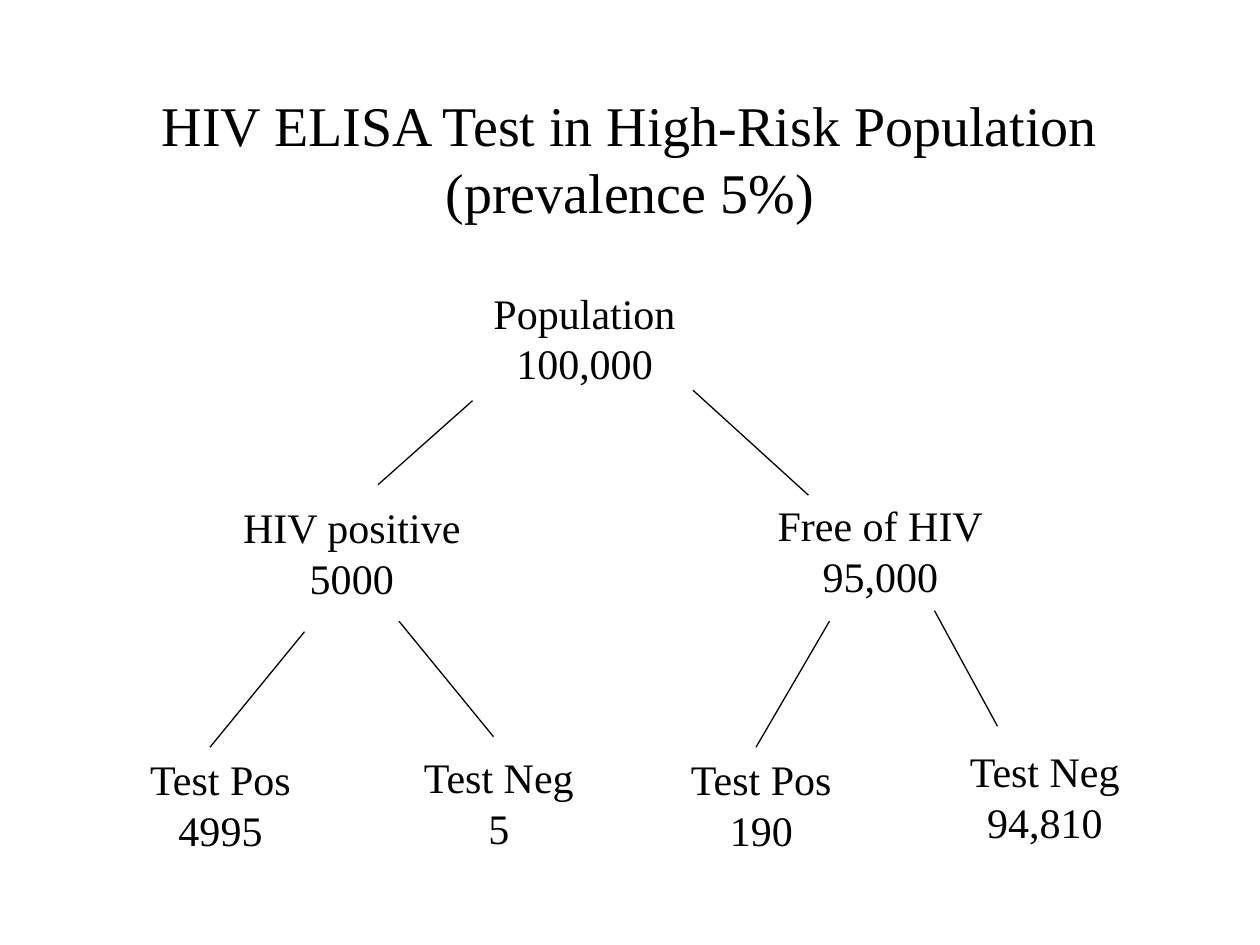
"""Build a slide with a tree of HIV test outcomes in a high-risk population."""
from pptx import Presentation
from pptx.dml.color import RGBColor
from pptx.enum.shapes import MSO_CONNECTOR as Conn
from pptx.enum.text import MSO_ANCHOR as Anchor, MSO_AUTO_SIZE as Fit, PP_ALIGN as Align
from pptx.oxml.ns import qn
from pptx.util import Pt

BLACK = RGBColor(0, 0, 0)
FACE = "Times New Roman"


def style(para, size):
    para.alignment = Align.CENTER
    para.font.name = FACE
    para.font.size = Pt(size)
    para.font.color.rgb = BLACK


deck = Presentation()
deck.slide_width, deck.slide_height = Pt(720), Pt(540)
slide = deck.slides.add_slide(deck.slide_layouts[5])

title = slide.shapes.title
title.left, title.top, title.width, title.height = Pt(30), Pt(48), Pt(660), Pt(84)
title.text = "HIV ELISA Test in High-Risk Population (prevalence 5%)"
title.text_frame.vertical_anchor = Anchor.TOP
title.text_frame.auto_size = Fit.NONE
style(title.text_frame.paragraphs[0], 32)

nodes = [
    ("Population", "100,000", 274, 160.5, 120),
    ("HIV positive", "5000", 131, 283.3, 140),
    ("Free of HIV", "95,000", 436, 282, 134),
    ("Test Pos", "4995", 77, 427.3, 98),
    ("Test Neg", "5", 233, 426, 104),
    ("Test Pos", "190", 386, 427.3, 98),
    ("Test Neg", "94,810", 545, 422.7, 104),
]
for label, count, left, top, width in nodes:
    box = slide.shapes.add_textbox(Pt(left), Pt(top), Pt(width), Pt(65))
    frame = box.text_frame
    frame.word_wrap = False
    frame.auto_size = Fit.SHAPE_TO_FIT_TEXT
    frame.text = f"{label}\n{count}"
    for para in frame.paragraphs:
        style(para, 24)

links = [
    (270, 229, 216, 277),
    (396, 223, 462, 283),
    (174, 361, 120, 427),
    (228, 355, 282, 421),
    (474, 355, 432, 427),
    (534, 349, 570, 415),
]
for ends in links:
    line = slide.shapes.add_connector(Conn.STRAIGHT, *map(Pt, ends))
    line.line.color.rgb = BLACK
    line.line.width = Pt(0.75)
    props = line.element.spPr
    props.append(props.makeelement(qn("a:effectLst"), {}))

deck.save("out.pptx")
